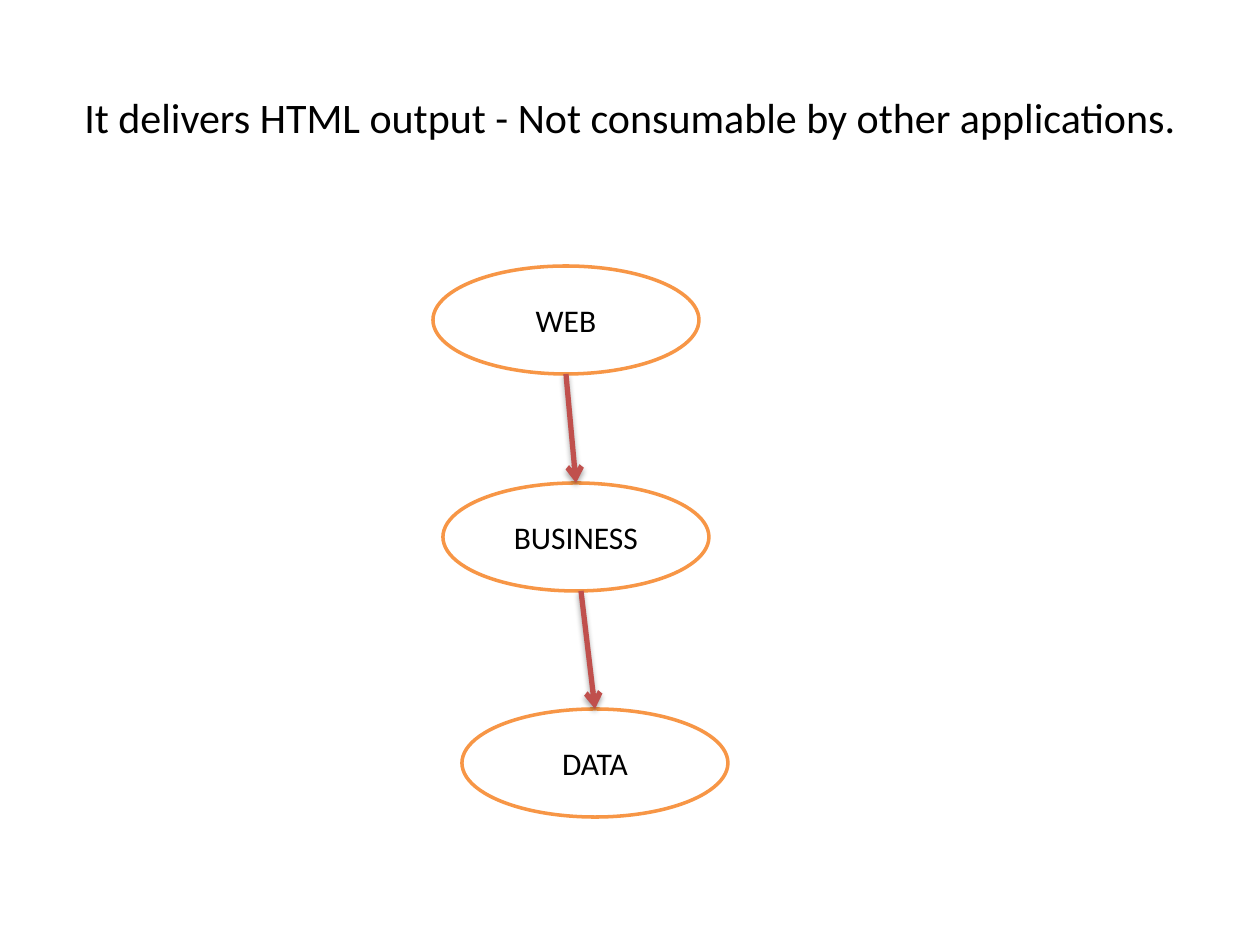
from lxml.etree import SubElement
from pptx import Presentation
from pptx.dml.color import RGBColor
from pptx.enum.shapes import MSO_CONNECTOR, MSO_SHAPE
from pptx.enum.text import MSO_ANCHOR, PP_ALIGN
from pptx.oxml.ns import qn
from pptx.util import Pt

PX = 914400 / 126
SLIDE_SIZE = (1260, 945)
TITLE = "It delivers HTML output - Not consumable by other applications."
TITLE_BOX = (63, 38, 1134, 157)
LAYERS = [("WEB", 433, 266), ("BUSINESS", 443, 483), ("DATA", 462, 709)]
LAYER_SIZE = (266, 108)
ARROW_START_SHIFTS = [0, 5]  # px right of the upper layer's bottom middle
WHITE, BLACK, ORANGE, RED = "FFFFFF", "000000", "F79646", "C0504D"


def px(*lengths):
    return [round(length * PX) for length in lengths]


def color(hex_value):
    return RGBColor.from_string(hex_value)


def write(shape, text, size):
    frame = shape.text_frame
    frame.text = text
    frame.word_wrap = True
    frame.vertical_anchor = MSO_ANCHOR.MIDDLE
    paragraph = frame.paragraphs[0]
    paragraph.alignment = PP_ALIGN.CENTER
    paragraph.font.name = "Calibri"
    paragraph.font.size = Pt(size)
    paragraph.font.color.rgb = color(BLACK)


def add_layer(slide, label, left, top):
    layer = slide.shapes.add_shape(MSO_SHAPE.OVAL, *px(left, top, *LAYER_SIZE))
    layer.shadow.inherit = False
    layer.fill.solid()
    layer.fill.fore_color.rgb = color(WHITE)
    layer.line.color.rgb = color(ORANGE)
    layer.line.width = Pt(2)
    write(layer, label, 18)
    return layer


def add_arrow(slide, upper, lower, shift):
    start_x = upper.left + upper.width // 2 + px(shift)[0]
    start_y = upper.top + upper.height
    arrow = slide.shapes.add_connector(
        MSO_CONNECTOR.STRAIGHT, start_x, start_y, lower.left + lower.width // 2, lower.top)
    arrow.end_connect(lower, 0)
    arrow.line.color.rgb = color(RED)
    arrow.line.width = Pt(3)
    properties = arrow._element.spPr
    SubElement(properties.find(qn("a:ln")), qn("a:tailEnd"), type="arrow")
    effects = SubElement(properties, qn("a:effectLst"))
    shadow = SubElement(effects, qn("a:outerShdw"), blurRad="40000", dist="23000",
                        dir="5400000", rotWithShape="0")
    shade = SubElement(shadow, qn("a:srgbClr"), val=BLACK)
    SubElement(shade, qn("a:alpha"), val="35000")


def main():
    deck = Presentation()
    deck.slide_width, deck.slide_height = px(*SLIDE_SIZE)
    slide = deck.slides.add_slide(deck.slide_layouts[5])

    title = slide.shapes.title
    title.left, title.top, title.width, title.height = px(*TITLE_BOX)
    write(title, TITLE, 24)

    layers = [add_layer(slide, *layer) for layer in LAYERS]
    for upper, lower, shift in zip(layers, layers[1:], ARROW_START_SHIFTS):
        add_arrow(slide, upper, lower, shift)

    deck.save("out.pptx")


if __name__ == "__main__":
    main()
